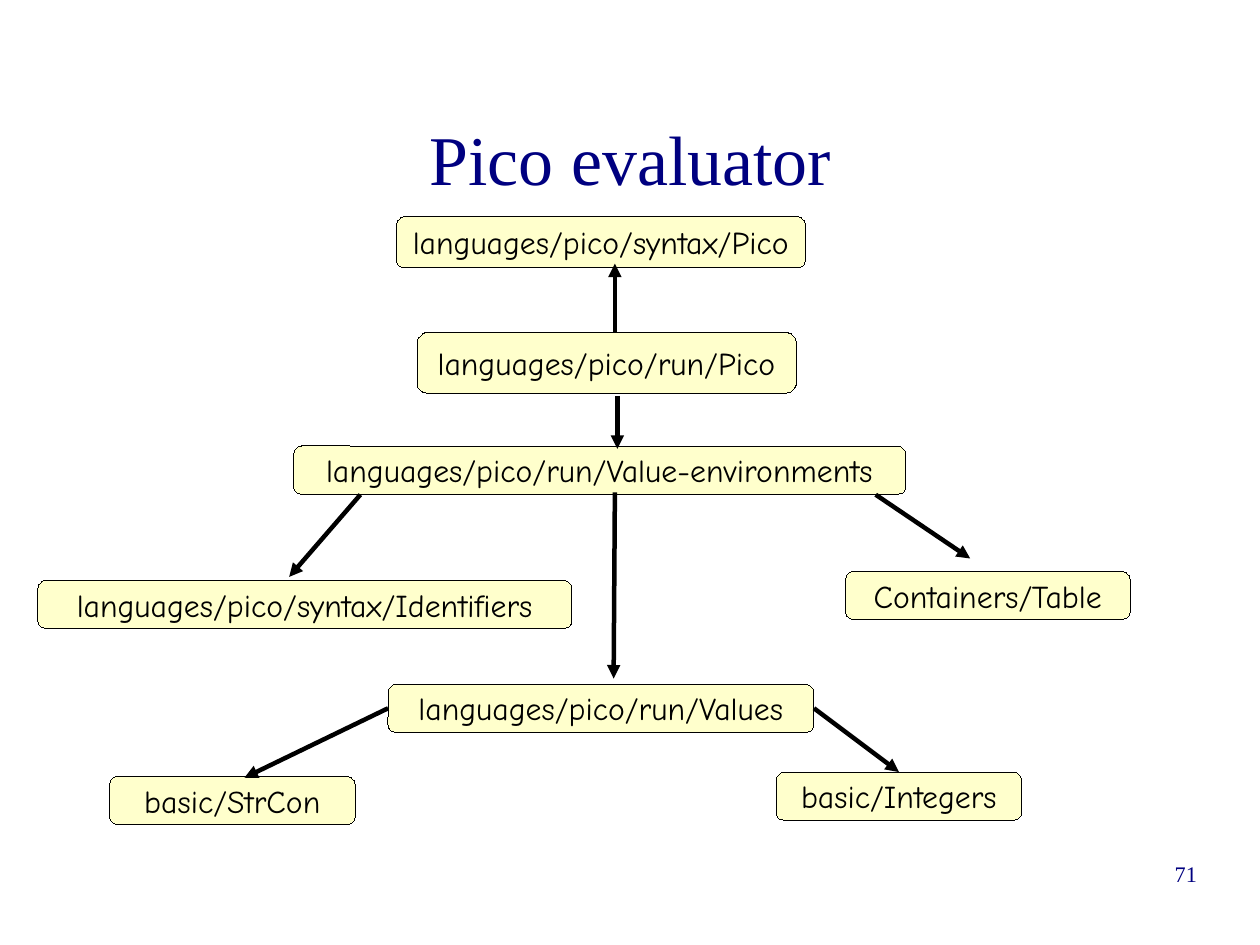
from lxml.etree import SubElement
from pptx import Presentation
from pptx.dml.color import RGBColor
from pptx.enum.shapes import MSO_CONNECTOR, MSO_SHAPE
from pptx.enum.text import MSO_ANCHOR, PP_ALIGN
from pptx.oxml.ns import qn
from pptx.util import Cm, Pt

SLIDE_WIDTH, SLIDE_HEIGHT = Cm(28), Cm(21)
NAVY, BLACK, CREAM = "000080", "000000", "FFFFCC"
HAIRLINE, ARROW_LINE = Pt(0.01), Pt(2.83)
TOP, LEFT, RIGHT = 0, 1, 3
ROW_HEIGHT = 5.1

# Module: left, top, width, height in percent of the slide
MODULES = {
    "languages/pico/syntax/Pico": (31.45, 22.9, 32.5, 5.45),
    "languages/pico/run/Pico": (33.1, 35.2, 30.1, 6.4),
    "languages/pico/run/Value-environments": (23.3, 47.2, 48.6, ROW_HEIGHT),
    "languages/pico/syntax/Identifiers": (3, 61.4, 42.4, ROW_HEIGHT),
    "Containers/Table": (67.1, 60.45, 22.6, ROW_HEIGHT),
    "languages/pico/run/Values": (30.8, 72.4, 33.8, ROW_HEIGHT),
    "basic/StrCon": (8.7, 82.15, 19.5, ROW_HEIGHT),
    "basic/Integers": (61.6, 81.7, 19.5, ROW_HEIGHT),
}

# Free-standing imports: start and end in percent of the slide
IMPORTS = [
    ((48.8, 35.2), (48.8, 27.9)),
    ((49, 41.9), (49, 47.5)),
    ((28.6, 52.35), (22.95, 61.05)),
    ((48.8, 52.1), (48.7, 71.8)),
    ((69.5, 52.35), (77, 59.1)),
]


def color(hex_string):
    return RGBColor.from_string(hex_string)


def across(percent):
    return round(SLIDE_WIDTH * percent / 100)


def down(percent):
    return round(SLIDE_HEIGHT * percent / 100)


def area(left, top, width, height):
    return across(left), down(top), across(width), down(height)


def write(frame, text, font_name, size, hex_string, align, anchor):
    frame.text = text
    frame.word_wrap = True
    frame.vertical_anchor = anchor
    paragraph = frame.paragraphs[0]
    paragraph.alignment = align
    font = paragraph.runs[0].font
    font.name, font.size = font_name, Pt(size)
    font.color.rgb = color(hex_string)


def add_label(slide, text, place, size, align, anchor):
    frame = slide.shapes.add_textbox(*area(*place)).text_frame
    frame.margin_left = frame.margin_right = 0
    frame.margin_top = frame.margin_bottom = 0
    write(frame, text, "Times New Roman", size, NAVY, align, anchor)


def add_module(slide, name, place):
    module = slide.shapes.add_shape(MSO_SHAPE.ROUNDED_RECTANGLE, *area(*place))
    module.shadow.inherit = False
    module.fill.solid()
    module.fill.fore_color.rgb = color(CREAM)
    module.line.color.rgb = color(BLACK)
    module.line.width = HAIRLINE
    write(module.text_frame, name, "Comic Neue", 20, BLACK,
          PP_ALIGN.CENTER, MSO_ANCHOR.MIDDLE)
    return module


def add_import(slide, start, end):
    arrow = slide.shapes.add_connector(
        MSO_CONNECTOR.STRAIGHT,
        across(start[0]), down(start[1]), across(end[0]), down(end[1]))
    arrow.line.color.rgb = color(BLACK)
    arrow.line.width = ARROW_LINE
    properties = arrow.element.spPr
    SubElement(properties.find(qn("a:ln")), qn("a:tailEnd"), type="triangle")
    SubElement(properties, qn("a:effectLst"))
    return arrow


def main():
    presentation = Presentation()
    presentation.slide_width = SLIDE_WIDTH
    presentation.slide_height = SLIDE_HEIGHT
    slide = presentation.slides.add_slide(presentation.slide_layouts[6])

    add_label(slide, "Pico evaluator", (7.35, 8.3, 85.4, 16.7), 44,
              PP_ALIGN.CENTER, MSO_ANCHOR.MIDDLE)
    modules = {name: add_module(slide, name, place)
               for name, place in MODULES.items()}
    for start, end in IMPORTS:
        add_import(slide, start, end)

    values = modules["languages/pico/run/Values"]
    to_strings = add_import(slide, (30.8, 75), (19.4, 82.3))
    to_strings.begin_connect(values, LEFT)
    to_integers = add_import(slide, (64.6, 75), (71.4, 81.7))
    to_integers.begin_connect(values, RIGHT)
    to_integers.end_connect(modules["basic/Integers"], TOP)

    add_label(slide, "71", (71.7, 91.05, 23.3, 6.9), 14,
              PP_ALIGN.RIGHT, MSO_ANCHOR.TOP)
    presentation.save("out.pptx")


if __name__ == "__main__":
    main()
